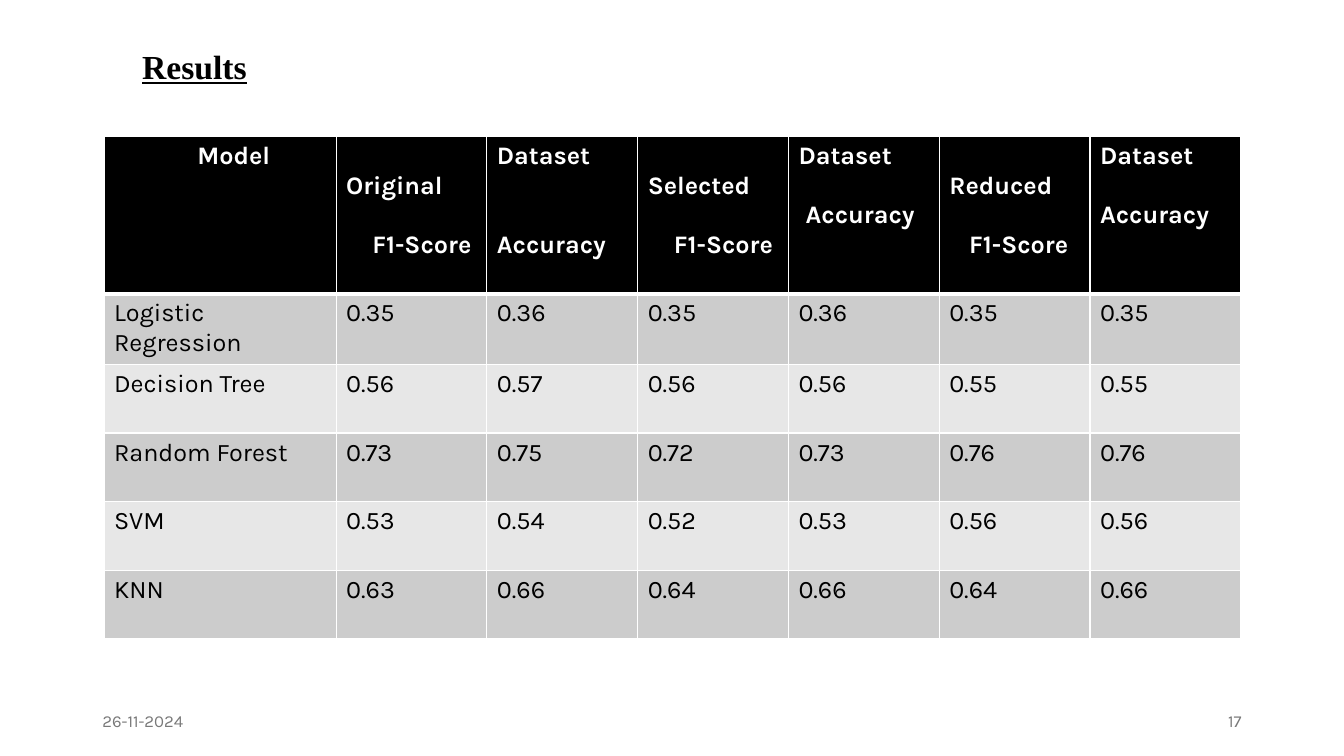
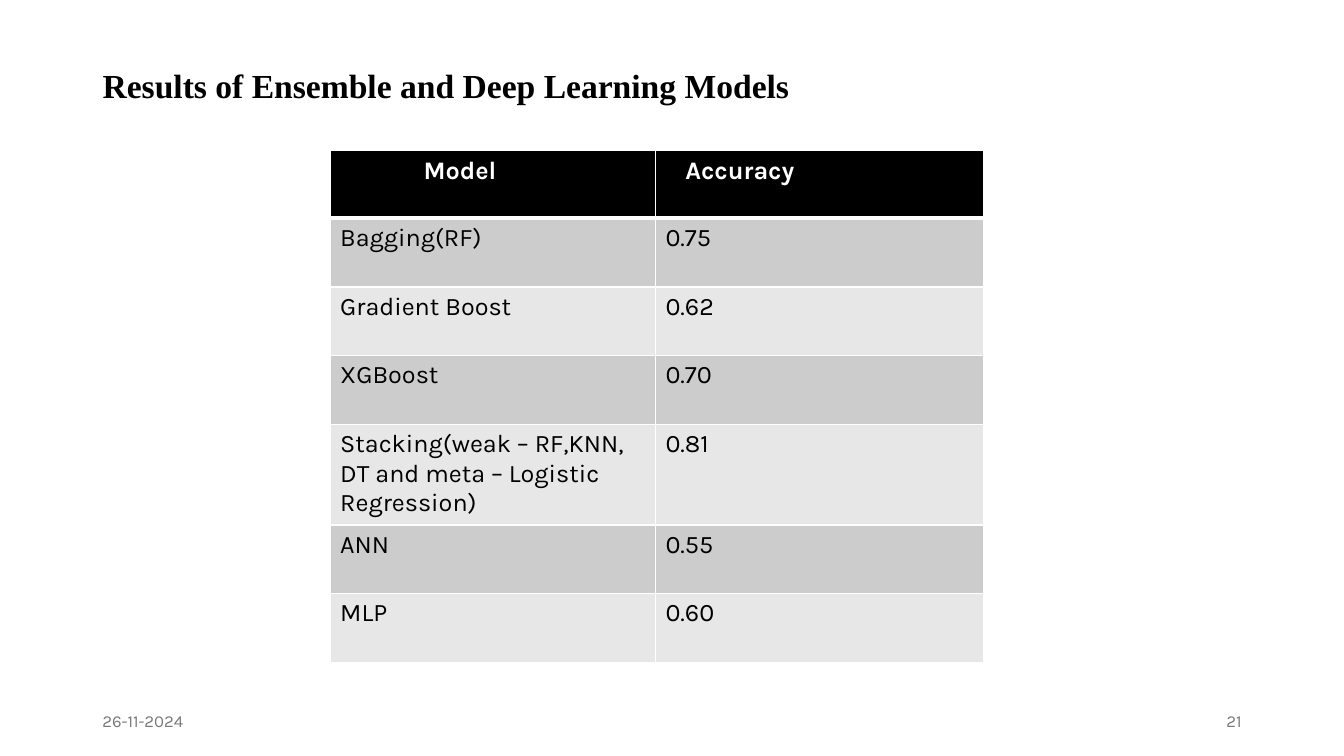
from pptx import Presentation
from pptx.dml.color import RGBColor
from pptx.enum import text
from pptx.oxml import parse_xml
from pptx.oxml import ns
from pptx.util import Cm, Pt

# Shared look
BODY_FONT, TITLE_FONT = "Karla", "Times New Roman"
BLACK, WHITE, GREY = "000000", "FFFFFF", "797979"
BANDS = ("CCCCCC", "E7E7E7")
LINE = 0.75        # height of one line of table text, cm
ROW_HEIGHT = 1.73  # cm
DATE = "26-11-2024"


def color(hex_code):
    return RGBColor.from_string(hex_code)


def add_span(para, words, size, hex_code, font=BODY_FONT, bold=False, underline=False):
    span = para.add_run()
    span.text = words
    span.font.name, span.font.size = font, Pt(size)
    span.font.bold, span.font.underline = bold, underline
    span.font.color.rgb = color(hex_code)


def add_title(page, words, left, top, width, underline=False):
    box = page.shapes.title
    box.left, box.top, box.width, box.height = Cm(left), Cm(top), Cm(width), Cm(1.27)
    frame = box.text_frame
    frame.auto_size = text.MSO_AUTO_SIZE.NONE
    frame.vertical_anchor = text.MSO_ANCHOR.TOP
    para = frame.paragraphs[0]
    para.alignment = text.PP_ALIGN.LEFT
    add_span(para, words, 24, BLACK, TITLE_FONT, True, underline)


def add_footer(page, number):
    entries = ((DATE, 2.33, text.PP_ALIGN.LEFT), (number, 23.92, text.PP_ALIGN.RIGHT))
    for words, left, align in entries:
        box = page.shapes.add_textbox(Cm(left), Cm(17.65), Cm(7.62), Cm(1.02))
        frame = box.text_frame
        frame.word_wrap = True
        frame.vertical_anchor = text.MSO_ANCHOR.MIDDLE
        frame.paragraphs[0].alignment = align
        add_span(frame.paragraphs[0], words, 12, GREY)


def style_cell(cell, fill, top=1, bottom=1):
    """White borders, widths in points, and a plain fill."""
    properties = cell._tc.get_or_add_tcPr()
    for side, width in (("L", 1), ("R", 1), ("T", top), ("B", bottom)):
        properties.append(parse_xml(
            f'<a:ln{side} {ns.nsdecls("a")} w="{Pt(width)}"><a:solidFill>'
            f'<a:srgbClr val="{WHITE}"/></a:solidFill></a:ln{side}>'))
    cell.fill.solid()
    cell.fill.fore_color.rgb = color(fill)


def fill_header(cell, lines):
    """Each line is (words, line number in the cell, indent in cm)."""
    style_cell(cell, BLACK, bottom=3)
    frame = cell.text_frame
    next_line = 0
    for index, (words, line, indent) in enumerate(lines):
        gap = (line - next_line) * LINE
        if index == 0:
            para = frame.paragraphs[0]
            cell.margin_top = Cm(0.13 + gap)
        else:
            para = frame.add_paragraph()
            para.space_before = Cm(gap)
        para._p.get_or_add_pPr().set("marL", str(Cm(indent)))
        add_span(para, words, 18, WHITE, bold=True)
        next_line = line + 1


def add_results(page, left, top, widths, header_height, headers, rows):
    heights = [header_height] + [ROW_HEIGHT] * len(rows)
    frame = page.shapes.add_table(len(heights), len(widths), Cm(left), Cm(top),
                                  Cm(sum(widths)), Cm(sum(heights)))
    table = frame.table
    for column, width in zip(table.columns, widths):
        column.width = Cm(width)
    for row, height in zip(table.rows, heights):
        row.height = Cm(height)
    for column, lines in enumerate(headers):
        fill_header(table.cell(0, column), lines)
    for number, values in enumerate(rows, 1):
        for column, value in enumerate(values):
            cell = table.cell(number, column)
            style_cell(cell, BANDS[(number - 1) % 2], top=3 if number == 1 else 1)
            add_span(cell.text_frame.paragraphs[0], value, 18, BLACK)


def add_page(deck, number):
    page = deck.slides.add_slide(deck.slide_layouts[5])
    add_footer(page, number)
    return page


def build_model_results(deck):
    page = add_page(deck, "17")
    headers = [
        [("Model", 0, 2.1)],
        [("Original", 1, 0), ("F1-Score", 3, 0.66)],
        [("Dataset", 0, 0), ("Accuracy", 3, 0)],
        [("Selected", 1, 0), ("F1-Score", 3, 0.66)],
        [("Dataset", 0, 0), ("Accuracy", 2, 0.18)],
        [("Reduced", 1, 0), ("F1-Score", 3, 0.5)],
        [("Dataset", 0, 0), ("Accuracy", 2, 0)],
    ]
    rows = [
        ("Logistic Regression", "0.35", "0.36", "0.35", "0.36", "0.35", "0.35"),
        ("Decision Tree", "0.56", "0.57", "0.56", "0.56", "0.55", "0.55"),
        ("Random Forest", "0.73", "0.75", "0.72", "0.73", "0.76", "0.76"),
        ("SVM", "0.53", "0.54", "0.52", "0.53", "0.56", "0.56"),
        ("KNN", "0.63", "0.66", "0.64", "0.66", "0.64", "0.66"),
    ]
    add_results(page, 2.62, 3.43, [5.85] + [3.8] * 6, 3.97, headers, rows)
    add_title(page, "Results", 3.33, 1.02, 3.4, underline=True)


def build_ensemble_results(deck):
    page = add_page(deck, "21")
    headers = [[("Model", 0, 2.1)], [("Accuracy", 0, 0.5)]]
    rows = [
        ("Bagging(RF)", "0.75"),
        ("Gradient Boost", "0.62"),
        ("XGBoost", "0.70"),
        ("Stacking(weak – RF,KNN, DT and meta – Logistic Regression)", "0.81"),
        ("ANN", "0.55"),
        ("MLP", "0.60"),
    ]
    add_results(page, 8.32, 3.8, [8.2, 8.28], 1.7, headers, rows)
    add_title(page, "Results of Ensemble and Deep Learning Models", 2.33, 1.52, 18)


def main():
    deck = Presentation()
    deck.slide_width, deck.slide_height = Cm(33.87), Cm(19.05)
    build_model_results(deck)
    build_ensemble_results(deck)
    deck.save("out.pptx")


if __name__ == "__main__":
    main()
